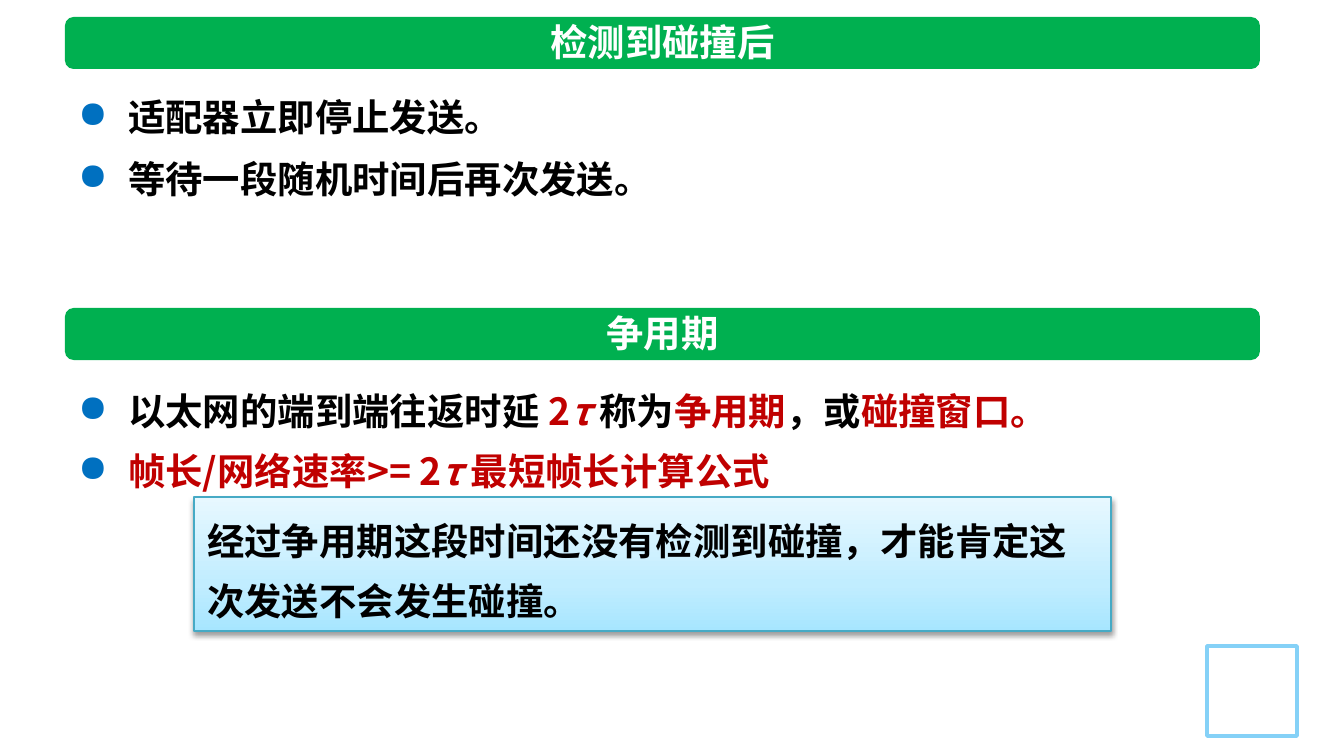
from lxml import etree
from pptx import Presentation
from pptx.dml.color import RGBColor
from pptx.enum.shapes import MSO_SHAPE as Shape
from pptx.enum.text import MSO_ANCHOR as Anchor, PP_ALIGN as Align
from pptx.oxml import parse_xml
from pptx.oxml.ns import nsdecls, qn
from pptx.util import Pt

EMU_PER_PX = 914400 / 134.4
FONT = "Noto Sans CJK SC"
BLACK = RGBColor(0x00, 0x00, 0x00)
WHITE = RGBColor(0xFF, 0xFF, 0xFF)
RED = RGBColor(0xC0, 0x00, 0x00)
GREEN = RGBColor(0x00, 0xB0, 0x50)
BULLET_BLUE = RGBColor(0x00, 0x70, 0xC0)
FRAME_BLUE = RGBColor(0x85, 0xD1, 0xF7)
NOTE_EDGE = RGBColor(0x46, 0xAA, 0xC5)
NOTE_STOPS = [
    (0, RGBColor(0xA7, 0xE6, 0xFF)),
    (35, RGBColor(0xC1, 0xED, 0xFF)),
    (100, RGBColor(0xE7, 0xF8, 0xFF)),
]

LEFT, WIDTH, BAR_HEIGHT = 65, 1195, 52
HEADING_RISE, HEADING_HEIGHT = 4, 59
INDENT = 50

SECTIONS = [
    {
        "heading": "检测到碰撞后", "heading_width": 253,
        "bar_top": 17, "list_top": 71, "list_height": 138, "spacing": 33,
        "items": [
            [("适配器立即停止发送。", BLACK, False)],
            [("等待一段随机时间后再次发送。", BLACK, False)],
        ],
    },
    {
        "heading": "争用期", "heading_width": 140,
        "bar_top": 308, "list_top": 367, "list_height": 134, "spacing": 32,
        "items": [
            [
                ("以太网的端到端往返时延 ", BLACK, False),
                ("2", RED, False),
                ("τ ", RED, True),
                ("称为", BLACK, False),
                ("争用期", RED, False),
                ("，或", BLACK, False),
                ("碰撞窗口。", RED, False),
            ],
            [
                ("帧长/网络速率>= 2", RED, False),
                ("τ ", RED, True),
                ("最短帧长计算公式", RED, False),
            ],
        ],
    },
]
NOTE = "经过争用期这段时间还没有检测到碰撞，才能肯定这次发送不会发生碰撞。"
NOTE_BOX = (194, 497, 917, 134)
CORNER_BOX = (1207, 646, 90, 90)


def px(*lengths):
    return [round(length * EMU_PER_PX) for length in lengths]


def add_panel(page, kind, box, fill=None):
    panel = page.shapes.add_shape(kind, *px(*box))
    if fill is not None:
        panel.shadow.inherit = False
        panel.fill.solid()
        panel.fill.fore_color.rgb = fill
        panel.line.fill.background()
    return panel


def add_text_box(page, box, wrap=True):
    frame = page.shapes.add_textbox(*px(*box)).text_frame
    frame.word_wrap = wrap
    return frame


def style(para, color=None, spacing=None, align=Align.LEFT):
    para.alignment = align
    if spacing:
        para.line_spacing = Pt(spacing)
    font = para.font
    font.size, font.bold, font.name = Pt(20), True, FONT
    if color is not None:
        font.color.rgb = color
    defaults = para._p.pPr.find(qn("a:defRPr"))
    etree.SubElement(defaults, qn("a:ea"), typeface=FONT)


def add_bullet(para):
    props = para._p.get_or_add_pPr()
    indent = px(INDENT)[0]
    props.set("marL", str(indent))
    props.set("indent", str(-indent))
    color = etree.SubElement(props, qn("a:buClr"))
    etree.SubElement(color, qn("a:srgbClr"), val=str(BULLET_BLUE))
    etree.SubElement(props, qn("a:buChar"), char="●")


def add_list(page, section):
    frame = add_text_box(page, (LEFT, section["list_top"], WIDTH, section["list_height"]))
    for index, spans in enumerate(section["items"]):
        para = frame.add_paragraph() if index else frame.paragraphs[0]
        add_bullet(para)
        style(para, spacing=section["spacing"])
        for text, color, italic in spans:
            span = para.add_run()
            span.text = text
            span.font.color.rgb = color
            span.font.italic = italic


def add_heading(page, section):
    top, width = section["bar_top"], section["heading_width"]
    add_panel(page, Shape.ROUNDED_RECTANGLE, (LEFT, top, WIDTH, BAR_HEIGHT), GREEN)
    left = LEFT + (WIDTH - width) / 2
    frame = add_text_box(page, (left, top - HEADING_RISE, width, HEADING_HEIGHT), wrap=False)
    para = frame.paragraphs[0]
    para.text = section["heading"]
    style(para, WHITE, align=Align.CENTER)


def add_note(page):
    note = add_panel(page, Shape.RECTANGLE, NOTE_BOX)
    note.line.color.rgb = NOTE_EDGE
    note.line.width = Pt(0.75)
    stops = "".join(
        f'<a:gs pos="{place * 1000}"><a:srgbClr val="{color}"/></a:gs>'
        for place, color in NOTE_STOPS
    )
    props = note._element.spPr
    props.find(qn("a:prstGeom")).addnext(parse_xml(
        f'<a:gradFill {nsdecls("a")} rotWithShape="1"><a:gsLst>{stops}</a:gsLst>'
        '<a:lin ang="16200000" scaled="1"/></a:gradFill>'))
    props.append(parse_xml(
        f'<a:effectLst {nsdecls("a")}><a:outerShdw blurRad="{Pt(3.1)}" dist="{Pt(1.6)}" '
        'dir="5400000" rotWithShape="0"><a:srgbClr val="000000"><a:alpha val="38000"/>'
        '</a:srgbClr></a:outerShdw></a:effectLst>'))
    frame = note.text_frame
    frame.word_wrap = True
    frame.vertical_anchor = Anchor.TOP
    para = frame.paragraphs[0]
    para.text = NOTE
    style(para, BLACK, spacing=32)


def main():
    deck = Presentation()
    deck.slide_width, deck.slide_height = px(1344, 756)
    page = deck.slides.add_slide(deck.slide_layouts[6])
    corner = add_panel(page, Shape.RECTANGLE, CORNER_BOX, WHITE)
    corner.line.color.rgb = FRAME_BLUE
    corner.line.width = Pt(2)
    for section in SECTIONS:
        add_heading(page, section)
        add_list(page, section)
    add_note(page)
    deck.save("out.pptx")


if __name__ == "__main__":
    main()
